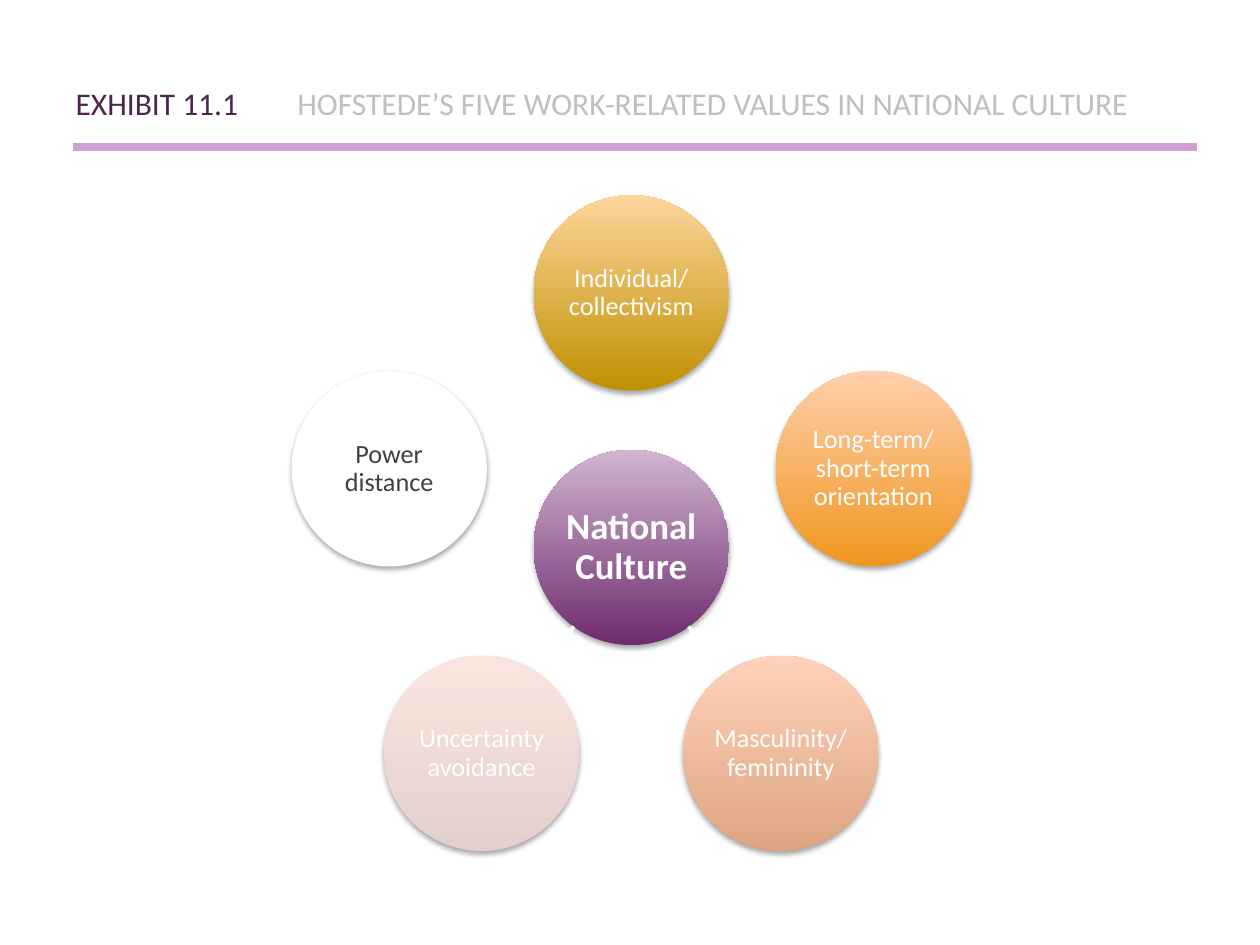
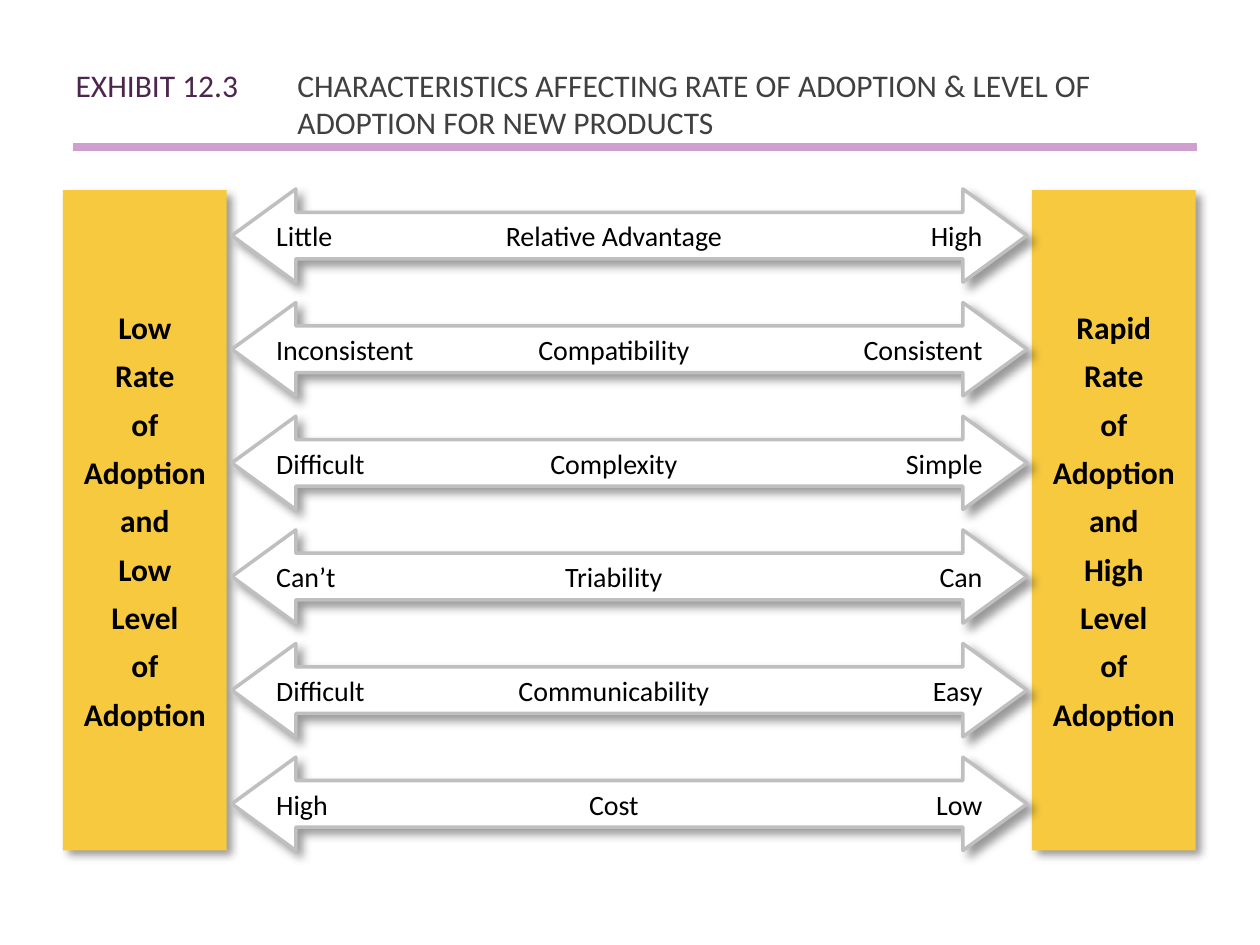
from dataclasses import dataclass
from math import cos, radians, sin

from lxml import etree
from pptx import Presentation
from pptx.dml.color import RGBColor
from pptx.enum.shapes import MSO_CONNECTOR, MSO_SHAPE
from pptx.enum.text import MSO_ANCHOR, MSO_AUTO_SIZE, PP_ALIGN
from pptx.oxml.ns import qn
from pptx.util import Inches, Pt

OVAL, RECTANGLE = MSO_SHAPE.OVAL, MSO_SHAPE.RECTANGLE
DOUBLE_ARROW = MSO_SHAPE.LEFT_RIGHT_ARROW
STRAIGHT = MSO_CONNECTOR.STRAIGHT
MIDDLE, NO_AUTOFIT = MSO_ANCHOR.MIDDLE, MSO_AUTO_SIZE.NONE
LEFT, CENTER = PP_ALIGN.LEFT, PP_ALIGN.CENTER
TITLE_ONLY = 5


@dataclass(frozen=True)
class Theme:
    font: str = "Calibri"
    # Colours
    white: str = "FFFFFF"
    black: str = "000000"
    dark_gray: str = "404040"
    light_gray: str = "BFBFBF"
    exhibit: str = "4D264D"
    rule: str = "CFA0CF"
    panel: str = "F6C93E"
    # Type sizes
    title: int = 18
    hub: int = 21
    value: int = 15
    panel_text: int = 18
    arrow_text: int = 16
    # Shadows: opacity %, blur pt, distance pt, direction in degrees
    circle_shadow: tuple = (35, 3.1, 1.8, 90)
    block_shadow: tuple = (40, 5, 4, 45)


THEME = Theme()


@dataclass(frozen=True)
class Box:
    left: float
    top: float
    width: float
    height: float

    def lengths(self):
        return [Inches(v) for v in (self.left, self.top, self.width, self.height)]


TITLE_BOX = Box(0.5, 0.27, 9, 1.1)
TITLE_INDENT = 1.76
VALUES_BOX = Box(2.31, 1.55, 5.4, 5.21)
ADOPTION_BOX = Box(0.5, 1.5, 8.99, 5.25)

# Text on the circle, text colour, bottom and top fill colours; clockwise from the top
HUB = ("National Culture", THEME.white, "6E2B6E", "D0B5D0")
VALUES = [
    ("Individual/\vcollectivism", THEME.white, "BF9100", "FFD59C"),
    ("Long-term/\vshort-term\vorientation", THEME.white, "F0961F", "FFCFAC"),
    ("Masculinity/\vfemininity", THEME.white, "DEA481", "FFD2BB"),
    ("Uncertainty avoidance", THEME.white, "E3D0CC", "FAE4DE"),
    ("Power distance", THEME.dark_gray, THEME.white, THEME.white),
]

LOW_ADOPTION = "Low Rate of Adoption and Low Level of Adoption"
RAPID_ADOPTION = "Rapid Rate of Adoption and High Level of Adoption"
CHARACTERISTICS = [
    ("Little", "Relative Advantage", "High"),
    ("Inconsistent", "Compatibility", "Consistent"),
    ("Difficult", "Complexity", "Simple"),
    ("Can’t", "Triability", "Can"),
    ("Difficult", "Communicability", "Easy"),
    ("High", "Cost", "Low"),
]


def color(value):
    return RGBColor.from_string(value)


def set_values(target, values):
    for name, value in values.items():
        setattr(target, name, value)


def format_runs(paragraph, size, text_color, bold=False):
    for run in paragraph.runs:
        set_values(run.font, {"name": THEME.font, "size": Pt(size), "bold": bold})
        run.font.color.rgb = color(text_color)


def add_tabs(paragraph, stops):
    tab_list = etree.SubElement(paragraph._p.get_or_add_pPr(), qn("a:tabLst"))
    for position, alignment in stops:
        etree.SubElement(tab_list, qn("a:tab"), pos=str(Inches(position)), algn=alignment)


def add_shadow(shape, opacity, blur, distance, direction):
    shape.shadow.inherit = False
    effects = shape._element.spPr.find(qn("a:effectLst"))
    shadow = etree.SubElement(
        effects, qn("a:outerShdw"), blurRad=str(Pt(blur)), dist=str(Pt(distance)),
        dir=str(direction * 60000), rotWithShape="0")
    shade = etree.SubElement(shadow, qn("a:srgbClr"), val=THEME.black)
    etree.SubElement(shade, qn("a:alpha"), val=str(opacity * 1000))


def add_line(slide, start, end, line_color, width):
    line = slide.shapes.add_connector(STRAIGHT, *[Inches(v) for v in (*start, *end)])
    line.line.color.rgb = color(line_color)
    line.line.width = Pt(width)
    etree.SubElement(line._element.spPr, qn("a:effectLst"))


def add_block(slide, kind, box, fill_color, shadow):
    shape = slide.shapes.add_shape(kind, *box.lengths())
    shape.fill.solid()
    shape.fill.fore_color.rgb = color(fill_color)
    shape.line.fill.background()
    add_shadow(shape, *shadow)
    set_values(shape.text_frame, {"word_wrap": True, "vertical_anchor": MIDDLE})
    return shape


def add_exhibit_slide(presentation, exhibit, heading, heading_color):
    slide = presentation.slides.add_slide(presentation.slide_layouts[TITLE_ONLY])
    # Rule under the title
    add_line(slide, (0.58, 1.17), (9.5, 1.17), THEME.rule, 4.5)
    # Title with a hanging indent
    title = slide.shapes.title
    title.left, title.top, title.width, title.height = TITLE_BOX.lengths()
    frame = title.text_frame
    set_values(frame, {"word_wrap": True, "vertical_anchor": MIDDLE,
                       "auto_size": NO_AUTOFIT})
    paragraph = frame.paragraphs[0]
    paragraph.alignment = LEFT
    properties = paragraph._p.get_or_add_pPr()
    properties.set("marL", str(Inches(TITLE_INDENT)))
    properties.set("indent", str(-Inches(TITLE_INDENT)))
    add_tabs(paragraph, [(TITLE_INDENT, "l")])
    for text, text_color in ((exhibit + "\t", THEME.exhibit), (heading, heading_color)):
        run = paragraph.add_run()
        run.text = text
        set_values(run.font, {"name": THEME.font, "size": Pt(THEME.title)})
        run.font.color.rgb = color(text_color)
    return slide


def add_circle(slide, center, diameter, content, size, bold=False):
    text, text_color, bottom_color, top_color = content
    x, y = center
    box = Box(x - diameter / 2, y - diameter / 2, diameter, diameter)
    circle = add_block(slide, OVAL, box, bottom_color, THEME.circle_shadow)
    if bottom_color != top_color:
        circle.fill.gradient()
        circle.fill.gradient_angle = 90
        for stop, stop_color in zip(circle.fill.gradient_stops, (bottom_color, top_color)):
            stop.color.rgb = color(stop_color)
    frame = circle.text_frame
    sides = ("left", "top", "right", "bottom")
    set_values(frame, {f"margin_{side}": Inches(0.01) for side in sides})
    paragraph = frame.paragraphs[0]
    paragraph.text = text
    set_values(paragraph, {"alignment": CENTER, "line_spacing": 0.9})
    format_runs(paragraph, size, text_color, bold)


def add_value_wheel(slide, box):
    diameter, orbit, spoke = 1.55, 2.02, 0.47
    center_x = box.left + box.width / 2
    center_y = box.top + diameter / 2 + orbit

    def point(angle, distance):
        return center_x + distance * cos(angle), center_y + distance * sin(angle)

    # Hub
    add_circle(slide, (center_x, center_y), diameter, HUB, THEME.hub, bold=True)
    # Spokes and values
    for index, content in enumerate(VALUES):
        angle = radians(index * 360 / len(VALUES) - 90)
        edge = diameter / 2
        add_line(slide, point(angle, edge), point(angle, edge + spoke), THEME.white, 2)
        add_circle(slide, point(angle, orbit), diameter, content, THEME.value)


def add_panel(slide, box, text):
    panel = add_block(slide, RECTANGLE, box, THEME.panel, THEME.block_shadow)
    frame = panel.text_frame
    frame.text = "\n".join(text.split())
    for index, paragraph in enumerate(frame.paragraphs):
        set_values(paragraph, {"alignment": CENTER, "space_before": Pt(6 if index else 0)})
        format_runs(paragraph, THEME.panel_text, THEME.black, bold=True)


def add_arrow(slide, box, labels):
    arrow = add_block(slide, DOUBLE_ARROW, box, THEME.white, THEME.block_shadow)
    arrow.adjustments[0], arrow.adjustments[1] = 0.5, 0.686
    arrow.line.color.rgb = color(THEME.light_gray)
    arrow.line.width = Pt(2)
    paragraph = arrow.text_frame.paragraphs[0]
    add_tabs(paragraph, [(2.68, "ctr"), (5.76, "r")])
    paragraph.alignment = LEFT
    paragraph.add_run().text = "\t".join(labels)
    format_runs(paragraph, THEME.arrow_text, THEME.black)


def add_adoption_scale(slide, box):
    panel_width, gap, arrow_height = 1.3, 0.04, 0.74
    # Side panels
    right = box.left + box.width - panel_width
    for left, text in ((box.left, LOW_ADOPTION), (right, RAPID_ADOPTION)):
        add_panel(slide, Box(left, box.top + 0.01, panel_width, box.height - 0.01), text)
    # Arrows between the panels
    arrow_left = box.left + panel_width + gap
    arrow_width = box.width - 2 * (panel_width + gap)
    pitch = (box.height - arrow_height) / (len(CHARACTERISTICS) - 1)
    for index, labels in enumerate(CHARACTERISTICS):
        top = box.top + index * pitch
        add_arrow(slide, Box(arrow_left, top, arrow_width, arrow_height), labels)


def main():
    presentation = Presentation()
    presentation.slide_width, presentation.slide_height = Inches(10), Inches(7.5)

    slide = add_exhibit_slide(
        presentation, "EXHIBIT 11.1",
        "HOFSTEDE’S FIVE WORK-RELATED VALUES IN NATIONAL CULTURE", THEME.light_gray)
    add_value_wheel(slide, VALUES_BOX)

    slide = add_exhibit_slide(
        presentation, "EXHIBIT 12.3",
        "CHARACTERISTICS AFFECTING RATE OF ADOPTION & LEVEL OF ADOPTION FOR NEW PRODUCTS",
        THEME.dark_gray)
    add_adoption_scale(slide, ADOPTION_BOX)

    presentation.save("out.pptx")


if __name__ == "__main__":
    main()
